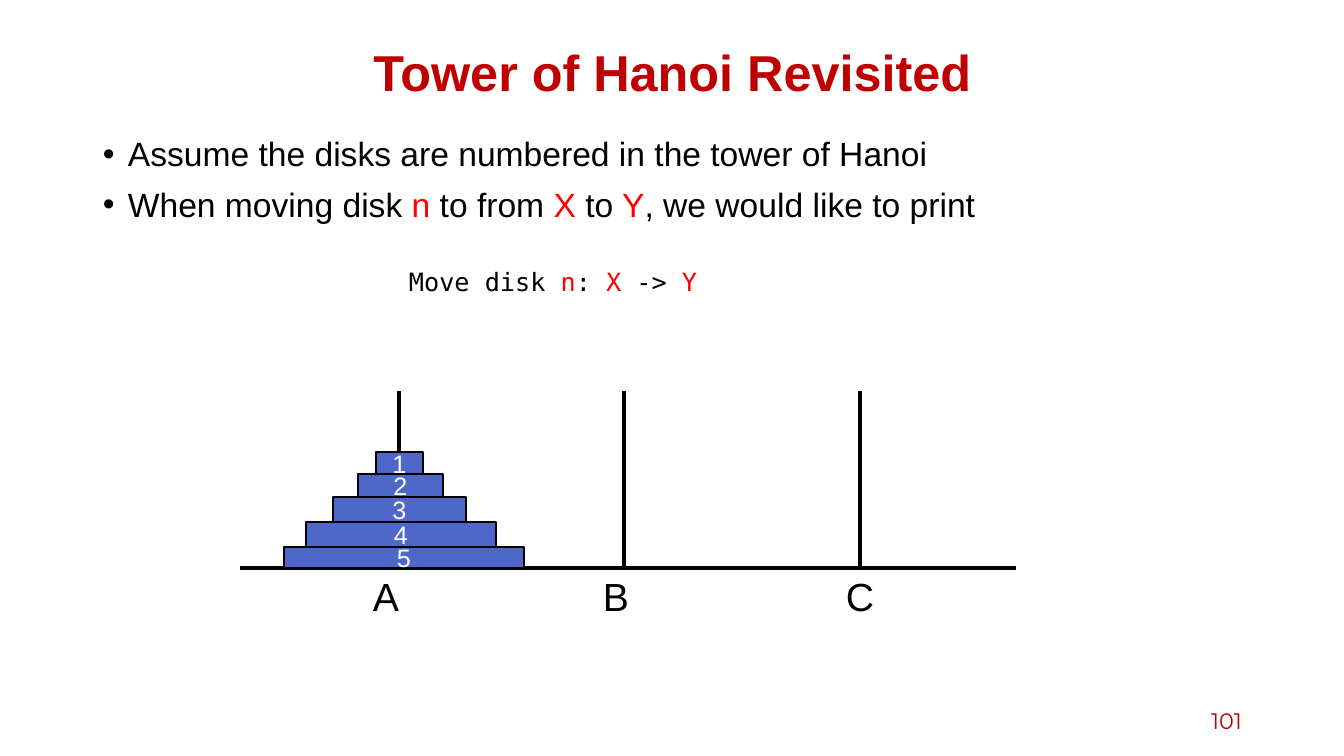
from lxml import etree
from pptx import Presentation
from pptx.dml.color import RGBColor
from pptx.enum.shapes import MSO_CONNECTOR, MSO_SHAPE
from pptx.enum.text import MSO_ANCHOR, PP_ALIGN
from pptx.oxml.ns import qn
from pptx.util import Pt

STRAIGHT, RECTANGLE = MSO_CONNECTOR.STRAIGHT, MSO_SHAPE.RECTANGLE
TOP, MIDDLE = MSO_ANCHOR.TOP, MSO_ANCHOR.MIDDLE
LEFT, CENTER, RIGHT = PP_ALIGN.LEFT, PP_ALIGN.CENTER, PP_ALIGN.RIGHT

# Content: a line of text is a list of (words, style) pairs.
TITLE = [("Tower of Hanoi Revisited", "title")]
BULLETS = [
    [("Assume the disks are numbered in the tower of Hanoi", "body")],
    [("When moving disk ", "body"), ("n", "body_key"), (" to from ", "body"),
     ("X ", "body_key"), ("to", "body"), (" Y", "body_key"),
     (", we would like to print", "body")],
]
OUTPUT_FORMAT = [("Move disk ", "code"), ("n", "code_key"), (": ", "code"),
                 ("X", "code_key"), (" -> ", "code"), ("Y", "code_key")]
PAGE_NUMBER = [("101", "page")]
PEGS = [("A", 399, 386), ("B", 624, 616), ("C", 860, 860)]  # name, peg x, name x
DISKS = [  # number, left, width, height; from the base upwards
    ("5", 284, 240, 21),
    ("4", 306, 190, 25),
    ("3", 333, 133, 25),
    ("2", 358, 85, 23),
    ("1", 376, 47, 22),
]

# Lengths in px
SLIDE_SIZE = (1344, 756)
TITLE_BOX = (93, 40, 1159, 71)
BODY_BOX = (93, 133, 1159, 555)
CODE_BOX = (399, 261, 416, 40)
PAGE_BOX = (950, 701, 302, 40)
BASE_LEFT, BASE_RIGHT, BASE_Y = 240, 1016, 568
PEG_TOP = 391
NAME_WIDTH, NAME_HEIGHT = 80, 57
BULLET_INDENT = 25

BLACK, RED, CRIMSON = "000000", "FF0000", "C00000"
THEME = {
    "disk_fill": "4E67C8",
    "line": BLACK,
    "peg_width": 3,
    "disk_line_width": 1,
    "text": {  # style: (colour, font values)
        "title": (CRIMSON, {"name": "Arial", "size": Pt(36), "bold": True}),
        "body": (BLACK, {"name": "Arial", "size": Pt(24)}),
        "body_key": (RED, {"name": "Arial", "size": Pt(24)}),
        "code": (BLACK, {"name": "DejaVu Sans Mono", "size": Pt(18)}),
        "code_key": (RED, {"name": "DejaVu Sans Mono", "size": Pt(18)}),
        "disk": ("FFFFFF", {"name": "Arial", "size": Pt(18)}),
        "peg": (BLACK, {"name": "Arial", "size": Pt(28)}),
        "page": (CRIMSON, {"name": "Montserrat", "size": Pt(16)}),
    },
}
BODY_FORMAT = {"line_spacing": 0.9, "space_before": Pt(10)}


def px(*lengths):
    """Turn px into EMU, at 100.8 px to the inch."""
    return [round(length * 914400 / 100.8) for length in lengths]


def set_values(target, values):
    for attribute, value in values.items():
        setattr(target, attribute, value)


def write_lines(frame, lines, paragraph_format):
    for index, line in enumerate(lines):
        paragraph = frame.add_paragraph() if index else frame.paragraphs[0]
        set_values(paragraph, paragraph_format)
        for words, style in line:
            run = paragraph.add_run()
            run.text = words
            colour, font_values = THEME["text"][style]
            set_values(run.font, font_values)
            run.font.color.rgb = RGBColor.from_string(colour)


def add_text(slide, box, lines, anchor=TOP, **paragraph_format):
    frame = slide.shapes.add_textbox(*px(*box)).text_frame
    set_values(frame, {"word_wrap": True, "vertical_anchor": anchor})
    write_lines(frame, lines, paragraph_format)
    return frame


def add_bullets(frame):
    indent, = px(BULLET_INDENT)
    for paragraph in frame.paragraphs:
        properties = paragraph._p.get_or_add_pPr()
        properties.set("marL", str(indent))
        properties.set("indent", str(-indent))
        etree.SubElement(properties, qn("a:buFont")).set("typeface", "Arial")
        etree.SubElement(properties, qn("a:buChar")).set("char", "•")


def set_line(line, width):
    line.color.rgb = RGBColor.from_string(THEME["line"])
    line.width = Pt(width)


def add_bar(slide, *ends):
    bar = slide.shapes.add_connector(STRAIGHT, *px(*ends))
    set_line(bar.line, THEME["peg_width"])
    etree.SubElement(bar._element.spPr, qn("a:effectLst"))


def add_disk(slide, number, box):
    disk = slide.shapes.add_shape(RECTANGLE, *px(*box))
    disk.shadow.inherit = False
    disk.fill.solid()
    disk.fill.fore_color.rgb = RGBColor.from_string(THEME["disk_fill"])
    set_line(disk.line, THEME["disk_line_width"])
    set_values(disk.text_frame, {"word_wrap": False, "vertical_anchor": MIDDLE})
    write_lines(disk.text_frame, [[(number, "disk")]], {"alignment": CENTER})


def add_tower(slide):
    add_bar(slide, BASE_LEFT, BASE_Y, BASE_RIGHT, BASE_Y)
    for name, peg_x, name_x in PEGS:
        add_bar(slide, peg_x, PEG_TOP, peg_x, BASE_Y)
        name_box = (name_x - NAME_WIDTH / 2, BASE_Y - 1, NAME_WIDTH, NAME_HEIGHT)
        add_text(slide, name_box, [[(name, "peg")]], alignment=CENTER)
    disk_top = BASE_Y
    for number, left, width, height in DISKS:
        disk_top -= height
        add_disk(slide, number, (left, disk_top, width, height))


def main():
    presentation = Presentation()
    presentation.slide_width, presentation.slide_height = px(*SLIDE_SIZE)
    slide = presentation.slides.add_slide(presentation.slide_layouts[6])
    add_text(slide, TITLE_BOX, [TITLE], MIDDLE, alignment=CENTER, line_spacing=0.9)
    add_bullets(add_text(slide, BODY_BOX, BULLETS, **BODY_FORMAT))
    add_text(slide, PAGE_BOX, [PAGE_NUMBER], MIDDLE, alignment=RIGHT)
    add_tower(slide)
    add_text(slide, CODE_BOX, [OUTPUT_FORMAT], alignment=LEFT)
    presentation.save("out.pptx")


if __name__ == "__main__":
    main()
